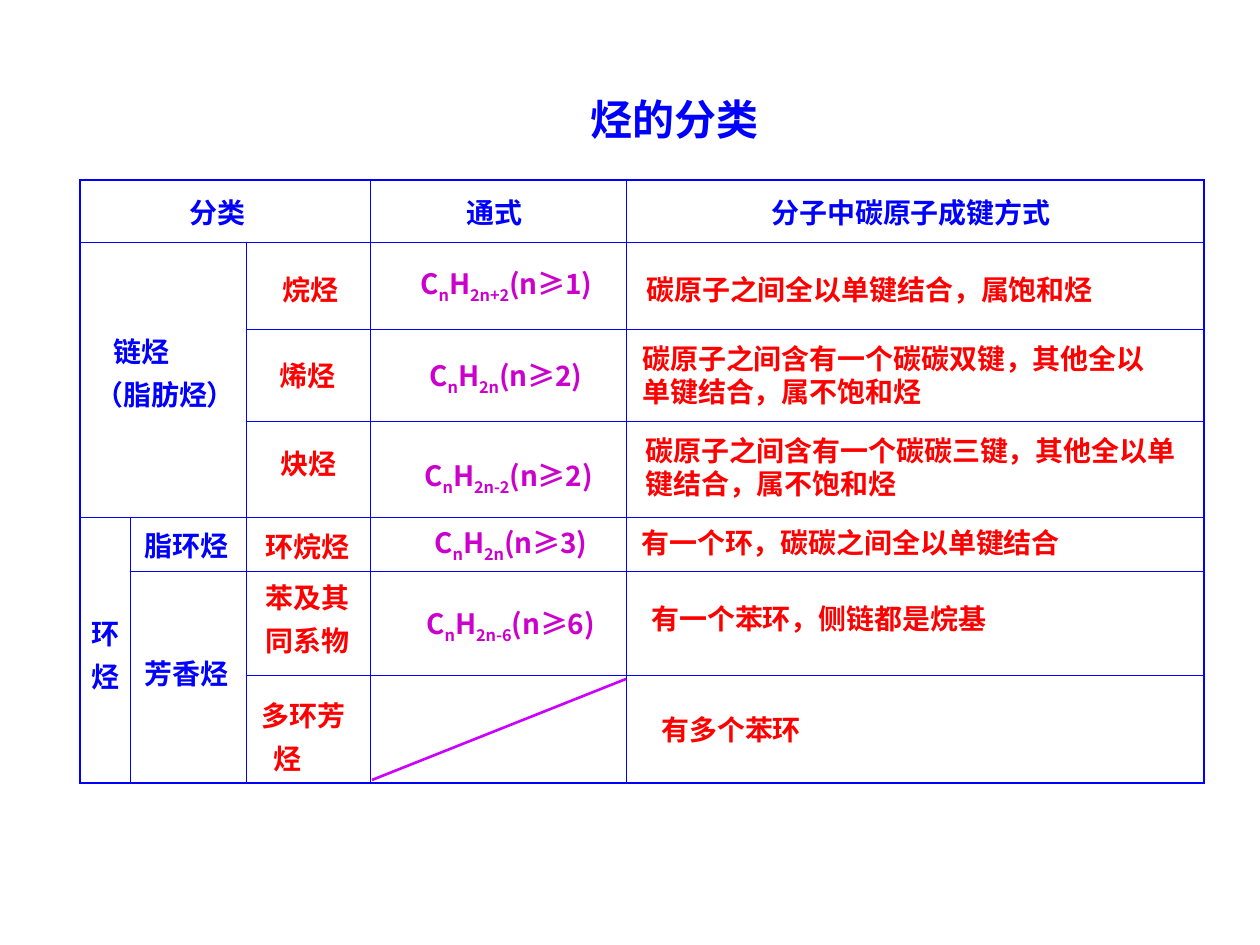
from lxml.etree import SubElement
from pptx import Presentation
from pptx.dml.color import RGBColor
from pptx.enum.shapes import MSO_CONNECTOR
from pptx.enum.text import MSO_ANCHOR, MSO_AUTO_SIZE, PP_ALIGN
from pptx.oxml.ns import qn
from pptx.util import Emu, Pt

PIXELS_PER_INCH = 126
FONT = "Noto Sans CJK SC"
BLUE = RGBColor(0x00, 0x00, 0xFF)
RED = RGBColor(0xFF, 0x00, 0x00)
MAGENTA = RGBColor(0xCC, 0x00, 0xCC)
VIOLET = RGBColor(0xCC, 0x00, 0xFF)
THIN, THICK = Pt(0.45), Pt(1.08)

COLUMNS = (50, 116, 124, 256, 578)
ROWS = (62, 87, 92, 96, 54, 105, 107)
MERGES = (((0, 0), (0, 2)), ((1, 0), (3, 1)), ((4, 0), (6, 0)), ((5, 1), (6, 1)))
HEADERS = ((0, "分类", 14), (3, "通式", 7), (4, "分子中碳原子成键方式", 7))

GROUPS = (
    ((83, 318, 176, 101), (("链烃", 18), ("（脂肪烃）", 0))),
    ((79, 600, 68, 101), (("环", 0), ("烃", 0))),
    ((132, 512, 123, 57), (("脂环烃", 0),)),
    ((132, 640, 115, 57), (("芳香烃", 0),)),
)
FAMILIES = (
    ((270, 256, 115, 57), (("烷烃", 0),), 1.3),
    ((267, 352, 101, 47), (("烯烃", 0),), 1),
    ((268, 440, 100, 47), (("炔烃", 0),), 1),
    ((253, 513, 111, 57), (("环烷烃", 0),), 1.3),
    ((253, 564, 127, 101), (("苯及其", 0), ("同系物", 0)), 1.3),
    ((249, 682, 115, 101), (("多环芳", 0), ("烃", 12)), 1.3),
)
FORMULAS = (
    ((408, 260, 204, 52), "2n+2", 1, 1),
    ((417, 352, 185, 52), "2n", 2, 1),
    ((412, 441, 202, 63), "2n-2", 2, 1.3),
    ((422, 519, 185, 52), "2n", 3, 1),
    ((414, 600, 203, 52), "2n-6", 6, 1),
)
BONDS = (
    ((634, 266, 518, 47), "碳原子之间全以单键结合，属饱和烃"),
    ((630, 335, 538, 81), "碳原子之间含有一个碳碳双键，其他全以单键结合，属不饱和烃"),
    ((633, 427, 575, 81), "碳原子之间含有一个碳碳三键，其他全以单键结合，属不饱和烃"),
    ((629, 519, 490, 47), "有一个环，碳碳之间全以单键结合"),
    ((639, 595, 508, 47), "有一个苯环，侧链都是烷基"),
    ((649, 706, 386, 47), "有多个苯环"),
)


def px(length):
    """Convert pixels to EMU."""
    return Emu(round(length * 914400 / PIXELS_PER_INCH))


def style_paragraph(paragraph, color, size=16):
    """Set the font of a whole paragraph, Latin and East Asian."""
    font = paragraph.font
    font.name, font.size, font.bold = FONT, Pt(size), True
    font.color.rgb = color
    properties = paragraph._p.pPr.find(qn("a:defRPr"))
    SubElement(properties, qn("a:ea"), typeface=FONT)


def add_text(slide, box, lines, color, size=16, spacing=1):
    """Add a text box with one paragraph per (text, indent) line."""
    shape = slide.shapes.add_textbox(*map(px, box))
    frame = shape.text_frame
    frame.word_wrap = True
    frame.auto_size = MSO_AUTO_SIZE.SHAPE_TO_FIT_TEXT
    for index, (text, indent) in enumerate(lines):
        paragraph = frame.add_paragraph() if index else frame.paragraphs[0]
        paragraph.text = text
        paragraph.line_spacing = float(spacing)
        if indent:
            paragraph._p.get_or_add_pPr().set("marL", str(px(indent)))
        style_paragraph(paragraph, color, size)
    return shape


def add_formula(slide, box, hydrogens, minimum, spacing):
    """Add a general formula with subscripts."""
    shape = add_text(slide, box, (("C", 0),), MAGENTA, spacing=spacing)
    paragraph = shape.text_frame.paragraphs[0]
    for text, is_subscript in (("n", True), ("H", False), (hydrogens, True), (f"(n≥{minimum})", False)):
        run = paragraph.add_run()
        run.text = text
        if is_subscript:
            run._r.get_or_add_rPr().set("baseline", "-25000")


def set_borders(cell, row, column):
    """Draw thick borders on the table's outside and thin ones inside."""
    outside = {
        "L": column == 0,
        "R": column + cell.span_width == len(COLUMNS),
        "T": row == 0,
        "B": row + cell.span_height == len(ROWS),
    }
    properties = cell._tc.get_or_add_tcPr()
    for side, is_outside in outside.items():
        line = SubElement(properties, qn(f"a:ln{side}"), w=str(THICK if is_outside else THIN))
        fill = SubElement(line, qn("a:solidFill"))
        SubElement(fill, qn("a:srgbClr"), val=str(BLUE))


def add_classification_table(slide):
    """Add the grid with its merged cells and header row."""
    frame = slide.shapes.add_table(
        len(ROWS), len(COLUMNS), px(80), px(180), px(sum(COLUMNS)), px(sum(ROWS))
    )
    table = frame.table
    table.first_row = table.horz_banding = False
    for column, width in zip(table.columns, COLUMNS):
        column.width = px(width)
    for row, height in zip(table.rows, ROWS):
        row.height = px(height)
    for first, last in MERGES:
        table.cell(*first).merge(table.cell(*last))
    for row in range(len(ROWS)):
        for column in range(len(COLUMNS)):
            cell = table.cell(row, column)
            cell.margin_top = cell.margin_bottom = 0
            set_borders(cell, row, column)
            cell.fill.background()
    for column, text, shift in HEADERS:
        cell = table.cell(0, column)
        cell.margin_right = px(13 + shift)
        cell.vertical_anchor = MSO_ANCHOR.MIDDLE
        paragraph = cell.text_frame.paragraphs[0]
        paragraph.text = text
        paragraph.alignment = PP_ALIGN.CENTER
        style_paragraph(paragraph, BLUE)


def add_diagonal(slide):
    """Strike out the cell that has no general formula."""
    line = slide.shapes.add_connector(MSO_CONNECTOR.STRAIGHT, px(372), px(780), px(626), px(679))
    line.line.color.rgb = VIOLET
    line.line.width = Pt(1.5)
    SubElement(line._element.spPr, qn("a:effectLst"))


def main():
    """Build and save the slide."""
    presentation = Presentation()
    presentation.slide_width, presentation.slide_height = px(1260), px(945)
    slide = presentation.slides.add_slide(presentation.slide_layouts[6])
    add_text(slide, (578, 87, 223, 63), (("烃的分类", 0),), BLUE, size=24)
    add_classification_table(slide)
    for box, lines in GROUPS:
        add_text(slide, box, lines, BLUE, spacing=1.3)
    for box, lines, spacing in FAMILIES:
        add_text(slide, box, lines, RED, spacing=spacing)
    for formula in FORMULAS:
        add_formula(slide, *formula)
    for box, text in BONDS:
        add_text(slide, box, ((text, 0),), RED)
    add_diagonal(slide)
    presentation.save("out.pptx")


if __name__ == "__main__":
    main()
